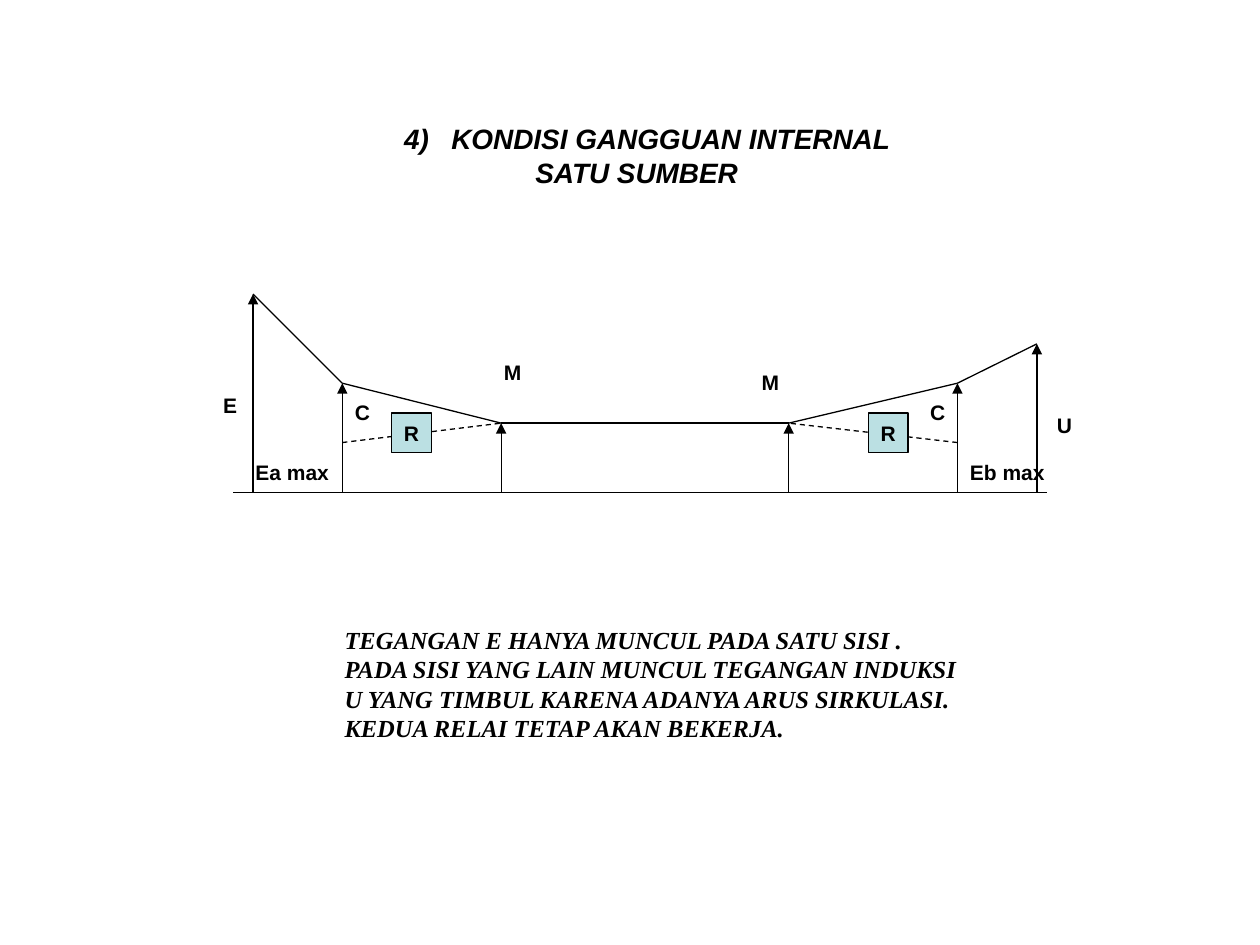
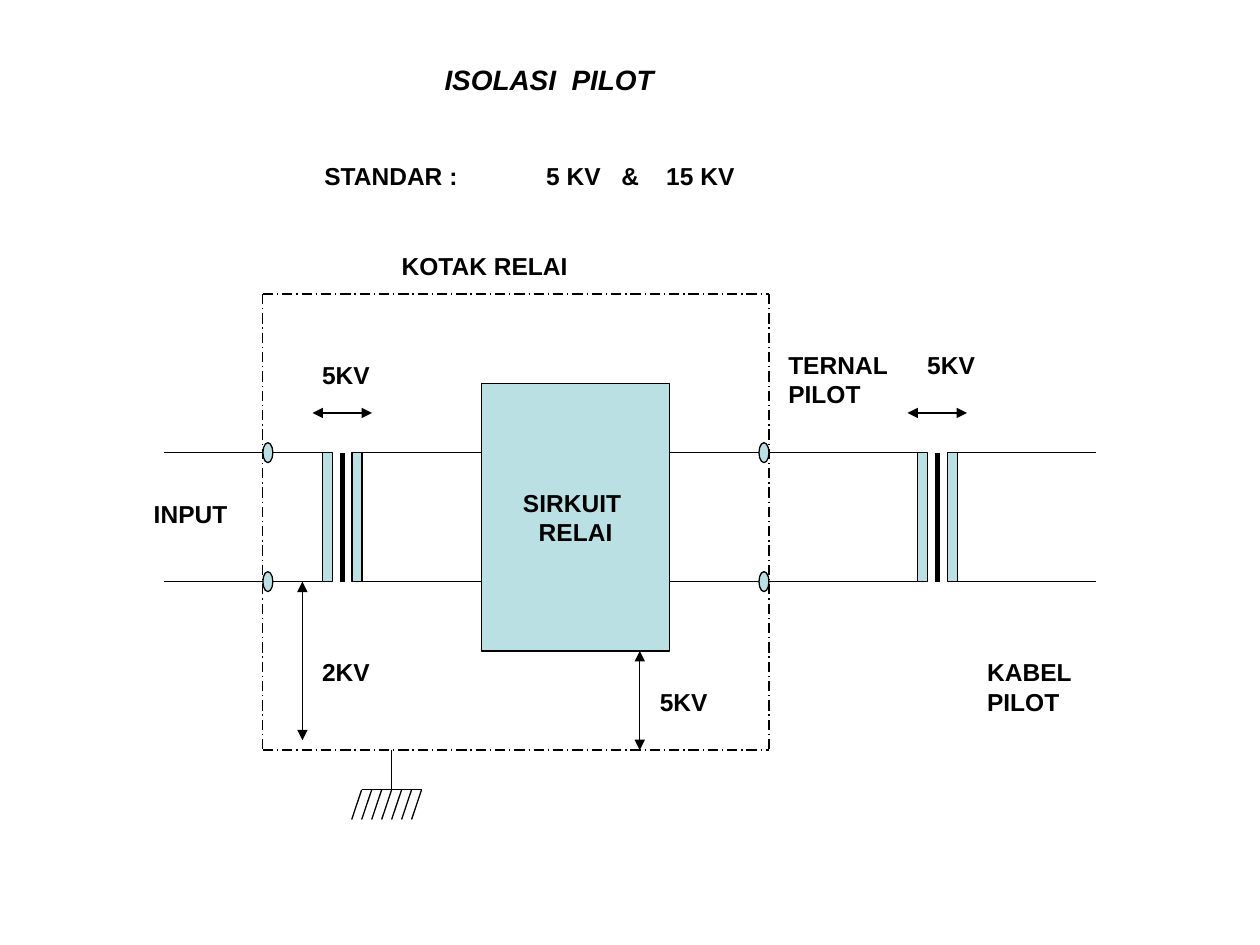
"""Build two slides on pilot relay protection: an internal fault profile and pilot isolation."""
from itertools import pairwise

from lxml.etree import SubElement
from pptx import Presentation
from pptx.dml.color import RGBColor
from pptx.enum.dml import MSO_LINE_DASH_STYLE as DASH
from pptx.enum.shapes import MSO_CONNECTOR, MSO_SHAPE
from pptx.enum.text import MSO_ANCHOR, MSO_AUTO_SIZE, PP_ALIGN
from pptx.oxml.ns import qn
from pptx.util import Pt

COLORS = {"ink": "000000", "block": "BBE0E3", "paper": "FFFFFF"}
SANS = "Arial"
SERIF = "Times New Roman"
TITLE_SIZE = 16
DIAGRAM_SIZE = 14
PROFILE_SIZE = 12


def color(name):
    return RGBColor.from_string(COLORS[name])


def format_text(text_frame, size, font=SANS, italic=False, align=PP_ALIGN.LEFT):
    text_frame.word_wrap = False
    for paragraph in text_frame.paragraphs:
        paragraph.alignment = align
        for run in paragraph.runs:
            run.font.name = font
            run.font.size = Pt(size)
            run.font.bold = True
            run.font.italic = italic
            run.font.color.rgb = color("ink")


def place_title(slide, text, left, top, width, height):
    title = slide.shapes.title
    title.left, title.top, title.width, title.height = map(Pt, (left, top, width, height))
    text_frame = title.text_frame
    text_frame.text = text
    text_frame.auto_size = MSO_AUTO_SIZE.NONE
    text_frame.vertical_anchor = MSO_ANCHOR.TOP
    format_text(text_frame, TITLE_SIZE, italic=True)
    return text_frame


def set_indent(paragraph, left, first=0):
    properties = paragraph._p.get_or_add_pPr()
    properties.set("marL", str(Pt(left)))
    properties.set("indent", str(Pt(first)))
    return properties


def number_paragraph(paragraph, start):
    properties = set_indent(paragraph, 27, -27)
    SubElement(properties, qn("a:buFont"), typeface=SANS)
    SubElement(properties, qn("a:buAutoNum"), type="arabicParenR", startAt=str(start))


def set_tabs(paragraph, positions):
    tab_list = SubElement(paragraph._p.get_or_add_pPr(), qn("a:tabLst"))
    for position in positions:
        SubElement(tab_list, qn("a:tab"), pos=str(Pt(position)), algn="l")


def add_label(slide, text, left, top, width, height, size=DIAGRAM_SIZE, **style):
    label = slide.shapes.add_textbox(Pt(left), Pt(top), Pt(width), Pt(height))
    label.text_frame.text = text
    format_text(label.text_frame, size, **style)
    return label.text_frame


def add_line(slide, start, end, weight=0.75, dash=None, arrows=()):
    line = slide.shapes.add_connector(MSO_CONNECTOR.STRAIGHT, *map(Pt, (*start, *end)))
    line.line.color.rgb = color("ink")
    line.line.width = Pt(weight)
    if dash:
        line.line.dash_style = dash
    for arrow in arrows:
        SubElement(line.line._get_or_add_ln(), qn(f"a:{arrow}"), type="triangle")
    SubElement(line._element.spPr, qn("a:effectLst"))


def add_block(slide, left, top, width, height, kind=MSO_SHAPE.RECTANGLE, text="", size=DIAGRAM_SIZE):
    block = slide.shapes.add_shape(kind, Pt(left), Pt(top), Pt(width), Pt(height))
    block.shadow.inherit = False
    block.fill.solid()
    block.fill.fore_color.rgb = color("block")
    block.line.color.rgb = color("ink")
    block.line.width = Pt(0.75)
    if text:
        block.text_frame.text = text
        block.text_frame.vertical_anchor = MSO_ANCHOR.MIDDLE
        format_text(block.text_frame, size, align=PP_ALIGN.CENTER)


def add_transformer(slide, left, top, bottom):
    for coil_left in (left, left + 17):
        add_block(slide, coil_left, top, 5.7, bottom - top)
    core = left + 11.4
    add_line(slide, (core, top), (core, bottom), weight=3)


def add_span(slide, start, end):
    add_line(slide, start, end, arrows=("headEnd", "tailEnd"))


def add_ground(slide, x, top):
    bar, pitch, half_width = top + 22.7, 5.7, 17.1
    add_line(slide, (x, top), (x, bar))
    add_line(slide, (x - half_width, bar), (x + half_width, bar))
    for index in range(7):
        hatch = x - half_width + index * pitch
        add_line(slide, (hatch, bar), (hatch - pitch, bar + 17))


def new_slide(presentation):
    slide = presentation.slides.add_slide(presentation.slide_layouts[5])
    slide.background.fill.solid()
    slide.background.fill.fore_color.rgb = color("paper")
    return slide


def build_fault_slide(presentation):
    slide = new_slide(presentation)
    title = place_title(slide, "KONDISI GANGGUAN INTERNAL\nSATU SUMBER", 223.7, 66, 306, 46)
    number_paragraph(title.paragraphs[0], 4)
    set_indent(title.paragraphs[1], 75)

    base, sag = 281.5, 252.9
    voltages = [(144.6, 168), (195.6, 219), (286.4, 241.8),
                (450.7, 241.8), (547.1, 219), (592.5, 196.5)]
    add_line(slide, (133.2, base), (598.2, base))
    for x, y in voltages:
        add_line(slide, (x, base), (x, y), arrows=("tailEnd",))
    for start, end in pairwise(voltages):
        add_line(slide, start, end)
    for outer, inner in ((1, 2), (4, 3)):
        add_line(slide, (voltages[outer][0], sag), voltages[inner], dash=DASH.DASH)

    for left in (223.8, 496.2):
        add_block(slide, left, 236, 22.8, 22.8, text="R", size=PROFILE_SIZE)
    labels = [("E", 120.4, 220.5, 30), ("U", 596.8, 232, 30), ("Ea max", 138.9, 258.8, 66),
              ("Eb max", 547.2, 258.8, 66), ("C", 195.8, 224.5, 30), ("C", 524.4, 224.5, 30),
              ("M", 280.8, 202, 30), ("M", 428.2, 207.8, 30)]
    for text, left, top, width in labels:
        add_label(slide, text, left, top, width, 21.8, PROFILE_SIZE)

    explanation = ("TEGANGAN E HANYA MUNCUL PADA SATU SISI .\n"
                   "PADA SISI YANG LAIN MUNCUL TEGANGAN INDUKSI\n"
                   "U YANG TIMBUL KARENA ADANYA ARUS SIRKULASI.\n"
                   "KEDUA RELAI TETAP AKAN BEKERJA.")
    add_label(slide, explanation, 189.8, 353.5, 380, 75, font=SERIF, italic=True)


def build_isolation_slide(presentation):
    slide = new_slide(presentation)
    place_title(slide, "ISOLASI  PILOT", 246.8, 32.2, 160, 26.6)
    standard = add_label(slide, "STANDAR :\t5 KV\t&\t15 KV", 178.2, 88.6, 270, 24.5)
    set_tabs(standard.paragraphs[0], (126.8, 169.7, 195.4))

    wires = top_wire, bottom_wire = 258.7, 332.4
    for y in wires:
        for start, end in ((93.6, 184.2), (207, 524.3), (547.1, 626.4)):
            add_line(slide, (start, y), (end, y))
    for left in (184.2, 524.3):
        add_transformer(slide, left, top_wire, bottom_wire)
    add_block(slide, 275, 219, 107.8, 153, text="SIRKUIT \nRELAI")

    left, top, right, bottom = 150.2, 168, 439.4, 428.6
    for x in (left, right):
        add_line(slide, (x, top), (x, bottom), dash=DASH.LONG_DASH_DOT)
    for y in (top, bottom):
        add_line(slide, (left, y), (right, y), dash=DASH.LONG_DASH_DOT)
    for x in (left, right - 5.7):
        for y in wires:
            add_block(slide, x, y - 5.7, 5.7, 11.4, MSO_SHAPE.OVAL)
    add_ground(slide, 223.8, bottom)

    for x in (178.6, 518.6):
        add_span(slide, (x, 236), (x + 34, 236))
    add_span(slide, (172.8, bottom_wire), (172.8, 423))
    add_span(slide, (365.6, 372), (365.6, bottom))

    labels = [("KOTAK RELAI", 222.4, 139.9, 125), ("TERNAL\nPILOT", 443.4, 196.2, 80),
              ("KABEL\nPILOT", 557, 372, 72), ("INPUT", 80.8, 281.8, 66),
              ("5KV", 177, 202, 50), ("2KV", 177, 372, 50),
              ("5KV", 370, 388.8, 50), ("5KV", 522.8, 196.2, 50)]
    for text, x, y, width in labels:
        add_label(slide, text, x, y, width, 24.4 + 16.8 * text.count("\n"))


def main():
    presentation = Presentation()
    presentation.slide_width, presentation.slide_height = Pt(720), Pt(540)
    build_fault_slide(presentation)
    build_isolation_slide(presentation)
    presentation.save("out.pptx")


if __name__ == "__main__":
    main()
